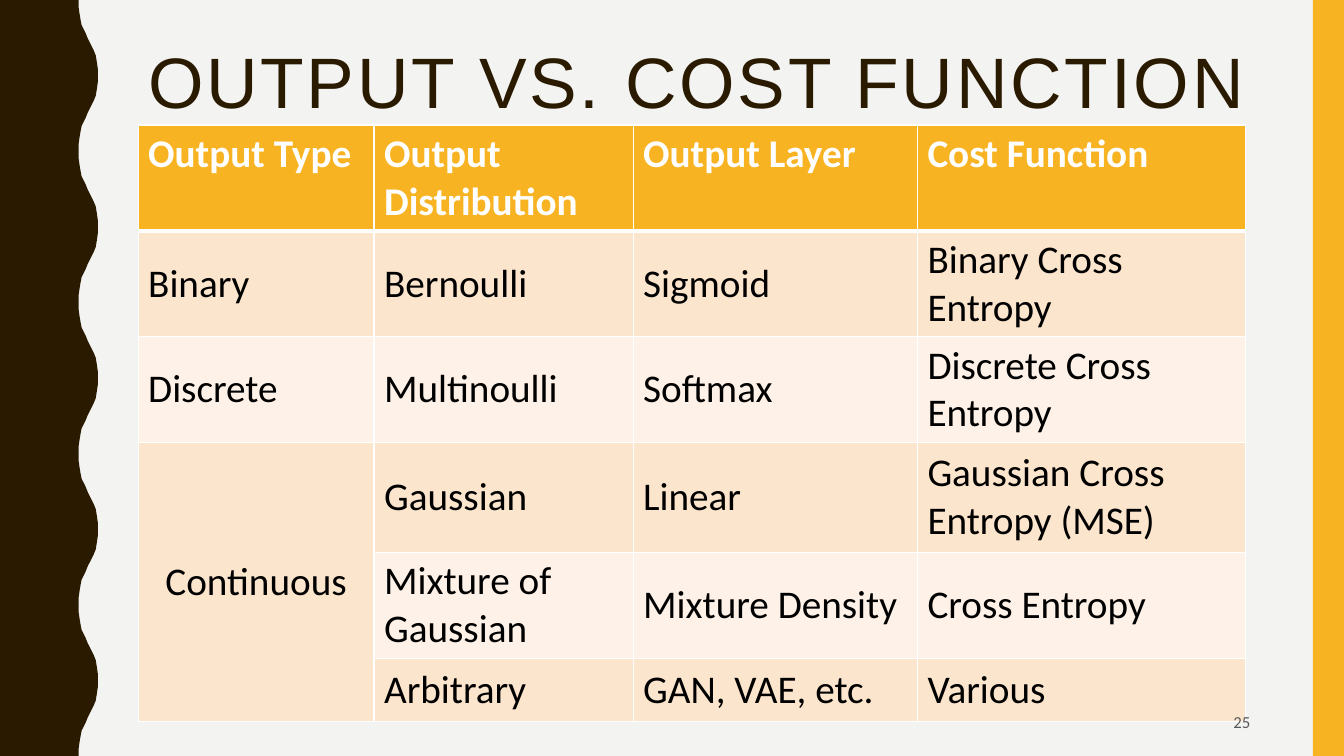
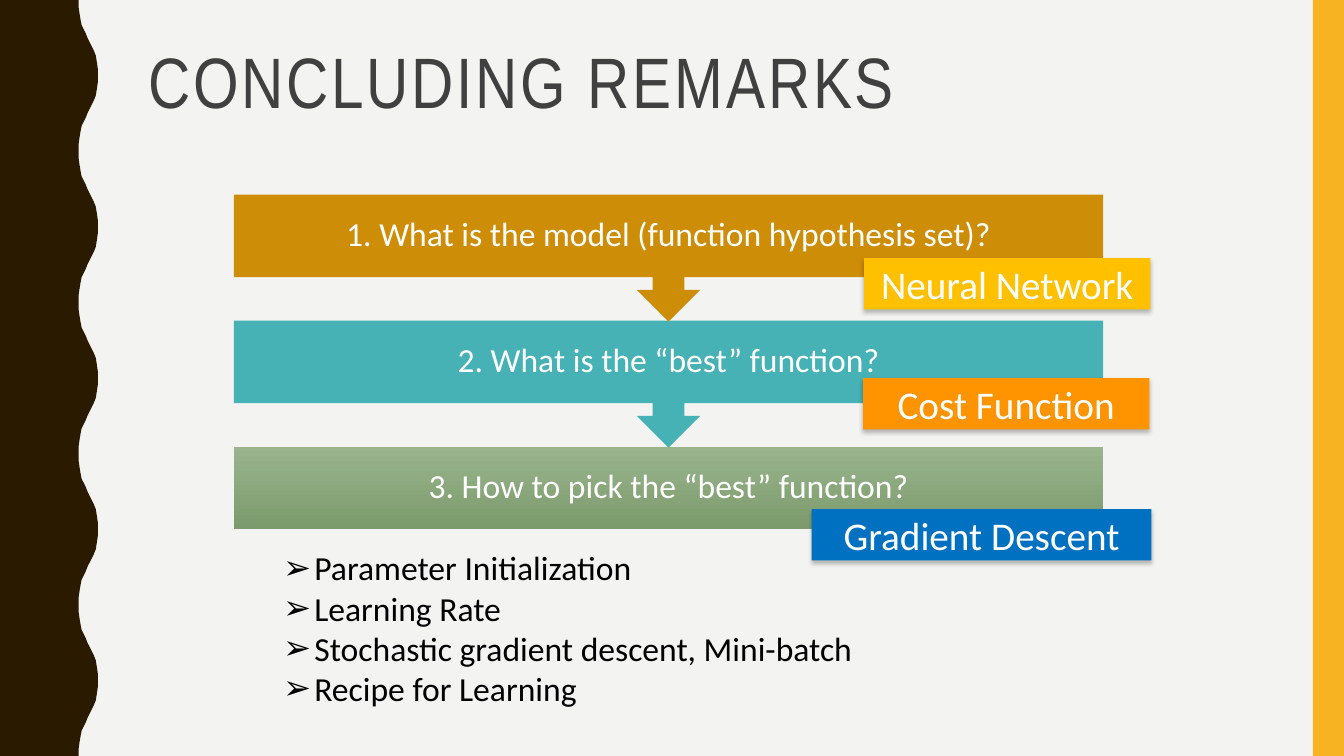
"""Build two lecture slides: an output and cost function table, and concluding remarks."""
from typing import NamedTuple

from lxml import etree
from pptx import Presentation
from pptx import util as u
from pptx.dml.color import RGBColor
from pptx.enum import shapes, text
from pptx.oxml import parse_xml
from pptx.oxml.ns import nsdecls, qn

WIDTH, HEIGHT = 13.33, 7.5
BACKGROUND, DARK, GOLD, WHITE, BLACK = "F3F3F2", "2A1A00", "F8B323", "FFFFFF", "000000"
BODY_FONT = "Calibri"
ROW_FILLS = ("FEF2E8", "FCE5CD")
LEFT, CENTER, RIGHT = text.PP_ALIGN.LEFT, text.PP_ALIGN.CENTER, text.PP_ALIGN.RIGHT
TOP, MIDDLE = text.MSO_ANCHOR.TOP, text.MSO_ANCHOR.MIDDLE

HALF_WAVE = (
    (0.78, 0), (0.78, 0.07), (0.79, 0.14), (0.8, 0.2), (0.81, 0.25),
    (0.83, 0.29), (0.85, 0.33), (0.87, 0.38), (0.89, 0.42), (0.91, 0.46),
    (0.93, 0.5), (0.95, 0.55), (0.96, 0.61), (0.97, 0.68), (0.97, 0.75),
)
WAVE_PERIOD, WAVE_COUNT = 1.5, 5

COLUMN_WIDTHS = (2.34, 2.57, 2.82, 3.25)
ROW_HEIGHTS = (1.05, 1.05, 1.05, 1.09, 1.05, 0.63)
TABLE_ROWS = (
    ("Output Type", "Output Distribution", "Output Layer", "Cost Function"),
    ("Binary", "Bernoulli", "Sigmoid", "Binary Cross Entropy"),
    ("Discrete", "Multinoulli", "Softmax", "Discrete Cross Entropy"),
    ("Continuous", "Gaussian", "Linear", "Gaussian Cross Entropy (MSE)"),
    ("", "Mixture of Gaussian", "Mixture Density", "Cross Entropy"),
    ("", "Arbitrary", "GAN, VAE, etc.", "Various"),
)
MERGED_ROWS = (3, 5)


class Box(NamedTuple):
    """Position and size in inches."""
    left: float
    top: float
    width: float
    height: float


class Step(NamedTuple):
    """One question of the flow and its fill colours, from top to bottom."""
    question: str
    fills: tuple[str, ...]


class Label(NamedTuple):
    """A raised answer label."""
    answer: str
    box: Box
    fill: str


STEPS = (
    Step("1. What is the model (function hypothesis set)?", ("CE8D07",)),
    Step("2. What is the “best” function?", ("46B2B5",)),
    Step("3. How to pick the “best” function?", ("9AB48E", "7B9B6C")),
)
STEP_LEFT, STEP_TOP, STEP_WIDTH, STEP_HEIGHT = 2.32, 1.93, 8.62, 0.82
STEP_PITCH, CALLOUT_HEIGHT = 1.25, 1.26
LABELS = (
    Label("Neural Network", Box(8.57, 2.56, 2.84, 0.51), "FFC000"),
    Label("Cost Function", Box(8.56, 3.75, 2.84, 0.51), "FF9300"),
    Label("Gradient Descent", Box(8.05, 5.05, 3.37, 0.51), "0070C0"),
)
TOPICS = (
    "Parameter Initialization",
    "Learning Rate",
    "Stochastic gradient descent, Mini-batch",
    "Recipe for Learning",
)


def rgb(value: str) -> RGBColor:
    """Turn a hex string into a colour."""
    return RGBColor.from_string(value)


def inches(box: Box) -> list[u.Length]:
    """Convert a box to lengths."""
    return [u.Inches(value) for value in box]


def add_run(p, content: str, size: float, color: str, font: str = BODY_FONT, bold: bool = False):
    """Add one formatted run to a paragraph."""
    r = p.add_run()
    r.text = content
    r.font.size = u.Pt(size)
    r.font.name = font
    r.font.bold = bold
    r.font.color.rgb = rgb(color)
    return r


def add_textbox(s, box: Box, anchor=TOP):
    """Add a wrapping text box and return its text frame."""
    tf = s.shapes.add_textbox(*inches(box)).text_frame
    tf.word_wrap = True
    tf.vertical_anchor = anchor
    return tf


def finish_shape(sp, fills: tuple[str, ...]) -> None:
    """Remove line and shadow, then apply a plain or vertical gradient fill."""
    sp.shadow.inherit = False
    sp.line.fill.background()
    if len(fills) == 1:
        sp.fill.solid()
        sp.fill.fore_color.rgb = rgb(fills[0])
        return
    sp.fill.gradient()
    sp.fill.gradient_angle = 270
    for stop, position, color in zip(sp.fill.gradient_stops, (0, 1), fills):
        stop.position = position
        stop.color.rgb = rgb(color)


def add_shape(s, kind, box: Box, *fills: str):
    """Add a preset shape without a line."""
    sp = s.shapes.add_shape(kind, *inches(box))
    finish_shape(sp, fills)
    return sp


def add_wave(s) -> None:
    """Draw the dark wavy band on the left edge."""
    mirrored = [(x, WAVE_PERIOD - y) for x, y in reversed(HALF_WAVE[:-1])]
    wave = [*HALF_WAVE, *mirrored]
    edge = [(x, y + i * WAVE_PERIOD) for i in range(WAVE_COUNT) for x, y in wave]
    points = [(u.Inches(x), u.Inches(y)) for x, y in [*edge, (0, HEIGHT)]]
    builder = s.shapes.build_freeform(0, 0)
    builder.add_line_segments(points, close=True)
    finish_shape(builder.convert_to_shape(), (DARK,))


def add_slide(prs, title: str, font: str, color: str):
    """Add a slide with background, side bands and title."""
    s = prs.slides.add_slide(prs.slide_layouts[6])
    s.background.fill.solid()
    s.background.fill.fore_color.rgb = rgb(BACKGROUND)
    add_wave(s)
    add_shape(s, shapes.MSO_SHAPE.RECTANGLE, Box(13.02, 0, 0.31, HEIGHT), GOLD)
    p = add_textbox(s, Box(1.37, 0.42, 11.13, 1.63)).paragraphs[0]
    p.line_spacing = 0.9
    r = add_run(p, title, 51, color, font)
    r.font._element.set("spc", "200")
    return s


def set_borders(cell, top: int, bottom: int) -> None:
    """Give a cell white borders, with its own top and bottom widths in points."""
    tc_pr = cell._tc.get_or_add_tcPr()
    for side, width in (("L", 1), ("R", 1), ("T", top), ("B", bottom)):
        ln = etree.SubElement(tc_pr, qn(f"a:ln{side}"), w=str(u.Pt(width)))
        fill = etree.SubElement(ln, qn("a:solidFill"))
        etree.SubElement(fill, qn("a:srgbClr"), val=WHITE)


def add_function_table(s) -> None:
    """Add the table of output types, layers and cost functions."""
    box = Box(1.37, 1.24, sum(COLUMN_WIDTHS), sum(ROW_HEIGHTS))
    table = s.shapes.add_table(len(TABLE_ROWS), len(COLUMN_WIDTHS), *inches(box)).table
    table.horz_banding = False
    for column, width in zip(table.columns, COLUMN_WIDTHS):
        column.width = u.Inches(width)
    first, last = MERGED_ROWS
    table.cell(first, 0).merge(table.cell(last, 0))
    for i, (values, height) in enumerate(zip(TABLE_ROWS, ROW_HEIGHTS)):
        table.rows[i].height = u.Inches(height)
        header = i == 0
        for j, value in enumerate(values):
            cell = table.cell(i, j)
            set_borders(cell, 3 if i == 1 else 1, 3 if header else 1)
            merged = j == 0 and i >= first
            cell.fill.solid()
            cell.fill.fore_color.rgb = rgb(GOLD if header else ROW_FILLS[1 if merged else i % 2])
            cell.vertical_anchor = TOP if header else MIDDLE
            if value:
                p = cell.text_frame.paragraphs[0]
                p.alignment = CENTER if merged else LEFT
                add_run(p, value, 28, WHITE if header else BLACK, bold=header)


def add_step(s, index: int, step: Step) -> None:
    """Add one question bar, with a down arrow unless it is the last."""
    top = STEP_TOP + index * STEP_PITCH
    box = Box(STEP_LEFT, top, STEP_WIDTH, STEP_HEIGHT)
    if index == len(STEPS) - 1:
        add_shape(s, shapes.MSO_SHAPE.RECTANGLE, box, *step.fills)
    else:
        sp = add_shape(s, shapes.MSO_SHAPE.UP_ARROW_CALLOUT,
                       box._replace(height=CALLOUT_HEIGHT), *step.fills)
        sp.rotation = 180
    tf = add_textbox(s, box, MIDDLE)
    tf.margin_left = tf.margin_right = tf.margin_top = tf.margin_bottom = u.Inches(0.19)
    p = tf.paragraphs[0]
    p.alignment = CENTER
    p.line_spacing = 0.9
    add_run(p, step.question, 24, WHITE)


def add_label(s, label: Label) -> None:
    """Add an answer label with a soft shadow."""
    sp = add_shape(s, shapes.MSO_SHAPE.RECTANGLE, label.box, label.fill)
    effects = sp._element.spPr.find(qn("a:effectLst"))
    effects.append(parse_xml(
        f'<a:outerShdw {nsdecls("a")} blurRad="{u.Pt(3)}" dist="{u.Pt(2)}" dir="5400000" '
        f'algn="t" rotWithShape="0"><a:srgbClr val="{BLACK}"><a:alpha val="25000"/>'
        '</a:srgbClr></a:outerShdw>'))
    tf = sp.text_frame
    tf.word_wrap = True
    tf.vertical_anchor = MIDDLE
    p = tf.paragraphs[0]
    p.alignment = CENTER
    add_run(p, label.answer, 28, WHITE)


def add_topics(s) -> None:
    """Add the bulleted list of topics."""
    tf = add_textbox(s, Box(2.71, 5.38, 7.86, 1.72))
    indent = u.Inches(0.31)
    for i, topic in enumerate(TOPICS):
        p = tf.paragraphs[0] if i == 0 else tf.add_paragraph()
        p_pr = p._p.get_or_add_pPr()
        p_pr.set("marL", str(indent))
        p_pr.set("indent", str(-indent))
        etree.SubElement(p_pr, qn("a:buFont"), typeface="Arial")
        etree.SubElement(p_pr, qn("a:buChar"), char="➢")
        add_run(p, topic, 24, BLACK)


def main() -> None:
    """Build and save the presentation."""
    prs = Presentation()
    prs.slide_width, prs.slide_height = u.Inches(WIDTH), u.Inches(HEIGHT)

    s = add_slide(prs, "OUTPUT VS. COST FUNCTION", "Arial", DARK)
    add_function_table(s)
    p = add_textbox(s, Box(9.42, 6.97, 3.08, 0.38), MIDDLE).paragraphs[0]
    p.alignment = RIGHT
    add_run(p, "25", 12, "595959")

    s = add_slide(prs, "CONCLUDING REMARKS", "Arial Narrow", "404040")
    for index, step in reversed(list(enumerate(STEPS))):
        add_step(s, index, step)
    for label in LABELS:
        add_label(s, label)
    add_topics(s)

    prs.save("out.pptx")


if __name__ == "__main__":
    main()
